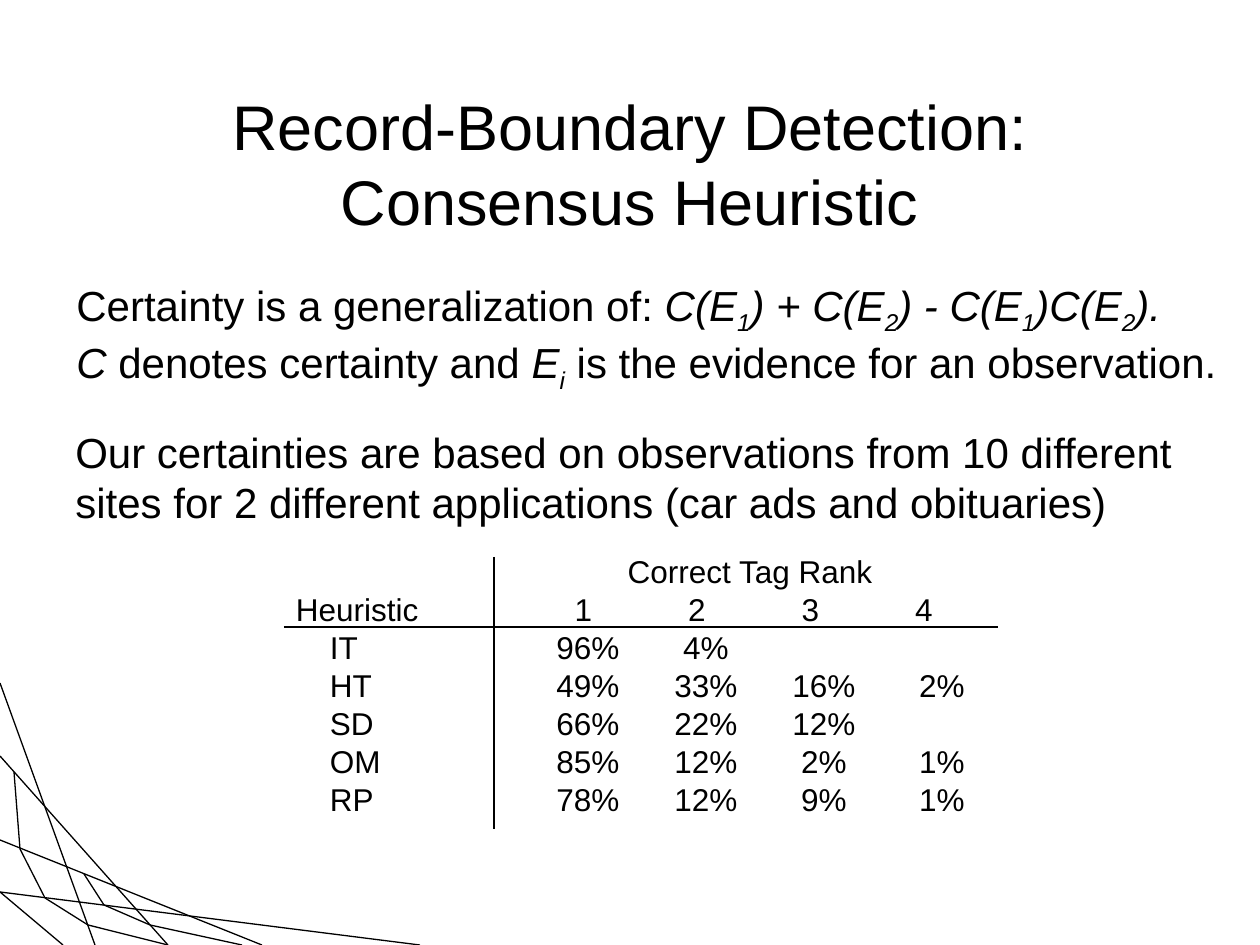
from dataclasses import dataclass

from lxml.etree import SubElement
from pptx import Presentation
from pptx.dml.color import RGBColor
from pptx.enum.shapes import MSO_CONNECTOR
from pptx.enum.text import MSO_ANCHOR, PP_ALIGN
from pptx.oxml.ns import qn
from pptx.util import Emu, Pt


@dataclass(frozen=True)
class Theme:
    font: str = "Arial"
    ink: RGBColor = RGBColor(0, 0, 0)
    title_size: int = 36
    body_size: int = 24
    table_size: int = 18
    line_width: float = 0.75


THEME = Theme()
PX_PER_INCH = 126

# Strands of the web in the lower left corner
WEB = [
    [(0, 683), (95, 945)],
    [(0, 756), (168, 945)],
    [(0, 840), (262, 945)],
    [(0, 892), (420, 945)],
    [(14, 772), (20, 849), (45, 898), (88, 925), (168, 945)],
    [(0, 892), (63, 945)],
    [(84, 874), (104, 905), (150, 925), (242, 945)],
]

# Each span is its text and a style: "" plain, "i" italic, "s" italic subscript
CERTAINTY = [
    [("Certainty is a generalization of: ", ""), ("C(E", "i"), ("1", "s"),
     (") + C(E", "i"), ("2", "s"), (") - C(E", "i"), ("1", "s"),
     (")C(E", "i"), ("2", "s"), (").", "i")],
    [("C", "i"), (" denotes certainty and", ""), (" E", "i"), ("i", "s"),
     (" is the evidence for an observation.", "")],
]
OBSERVATIONS = [
    [("Our certainties are based on observations from 10 different", "")],
    [("sites for 2 different applications (car ads and obituaries)", "")],
]

RANKS = ["1", "2", "3", "4"]
HEURISTICS = [
    ("IT", ["96%", "4%"]),
    ("HT", ["49%", "33%", "16%", "2%"]),
    ("SD", ["66%", "22%", "12%"]),
    ("OM", ["85%", "12%", "2%", "1%"]),
    ("RP", ["78%", "12%", "9%", "1%"]),
]
TABLE_LEFT, TABLE_TOP = 284, 554
NAME_WIDTH, RANK_WIDTH, ROW_HEIGHT = 245, 118, 38


def px(length):
    return Emu(round(length * 914400 / PX_PER_INCH))


def add_span(para, text, size, style=""):
    span = para.add_run()
    span.text = text
    span.font.name = THEME.font
    span.font.size = Pt(size)
    span.font.color.rgb = THEME.ink
    if style:
        span.font.italic = True
    if style == "s":
        span.font._element.set("baseline", "-25000")


def add_line(page, start, end):
    line = page.shapes.add_connector(
        MSO_CONNECTOR.STRAIGHT, *(px(value) for value in (*start, *end)))
    line.line.color.rgb = THEME.ink
    line.line.width = Pt(THEME.line_width)
    SubElement(line._element.spPr, qn("a:effectLst"))


def add_title(page, lines):
    title = page.shapes.title
    title.left, title.top, title.width, title.height = map(px, (94, 84, 1071, 158))
    title.text_frame.vertical_anchor = MSO_ANCHOR.MIDDLE
    para = title.text_frame.paragraphs[0]
    para.alignment = PP_ALIGN.CENTER
    for number, text in enumerate(lines):
        if number:
            para.add_line_break()
        add_span(para, text, THEME.title_size)


def add_text(page, left, top, width, height, lines):
    box = page.shapes.add_textbox(*map(px, (left, top, width, height)))
    frame = box.text_frame
    frame.word_wrap = False
    for number, spans in enumerate(lines):
        para = frame.add_paragraph() if number else frame.paragraphs[0]
        for text, style in spans:
            add_span(para, text, THEME.body_size, style)


def fill_cell(cell, text, align=PP_ALIGN.CENTER, left=0, right=0):
    cell.margin_left, cell.margin_right = px(left), px(right)
    para = cell.text_frame.paragraphs[0]
    para.alignment = align
    add_span(para, text, THEME.table_size)


def add_rank_table(page):
    rows, columns = len(HEURISTICS) + 2, len(RANKS) + 1
    width = NAME_WIDTH + RANK_WIDTH * len(RANKS)
    table = page.shapes.add_table(
        rows, columns, px(TABLE_LEFT), px(TABLE_TOP),
        px(width), px(rows * ROW_HEIGHT)).table
    table.first_row = table.horz_banding = False
    for number, column in enumerate(table.columns):
        column.width = px(RANK_WIDTH if number else NAME_WIDTH)
    for row in table.rows:
        row.height = px(ROW_HEIGHT)
    for cell in table.iter_cells():
        cell.fill.background()
        cell.margin_top = cell.margin_bottom = 0
        cell.vertical_anchor = MSO_ANCHOR.MIDDLE

    # Header rows; rank numbers sit slightly closer together than the values
    table.cell(0, 1).merge(table.cell(0, columns - 1))
    fill_cell(table.cell(0, 1), "Correct Tag Rank", right=30)
    fill_cell(table.cell(1, 0), "Heuristic", PP_ALIGN.LEFT, left=12)
    for column, rank in enumerate(RANKS, 1):
        fill_cell(table.cell(1, column), rank, right=9 * column)

    # One row for each heuristic
    for row, (name, shares) in enumerate(HEURISTICS, 2):
        fill_cell(table.cell(row, 0), name, PP_ALIGN.LEFT, left=46)
        for column, share in enumerate(shares, 1):
            fill_cell(table.cell(row, column), share)


def main():
    deck = Presentation()
    deck.slide_width, deck.slide_height = px(1260), px(945)
    page = deck.slides.add_slide(deck.slide_layouts[5])

    # Corner decoration
    for strand in WEB:
        for start, end in zip(strand, strand[1:]):
            add_line(page, start, end)

    # Title and explanation
    add_title(page, ["Record-Boundary Detection:", "Consensus Heuristic"])
    add_text(page, 64, 273, 1166, 127, CERTAINTY)
    add_text(page, 63, 420, 1123, 113, OBSERVATIONS)

    # Table with its two rules
    add_rank_table(page)
    add_line(page, (284, 627), (998, 627))
    add_line(page, (494, 557), (494, 829))

    deck.save("out.pptx")


if __name__ == "__main__":
    main()
